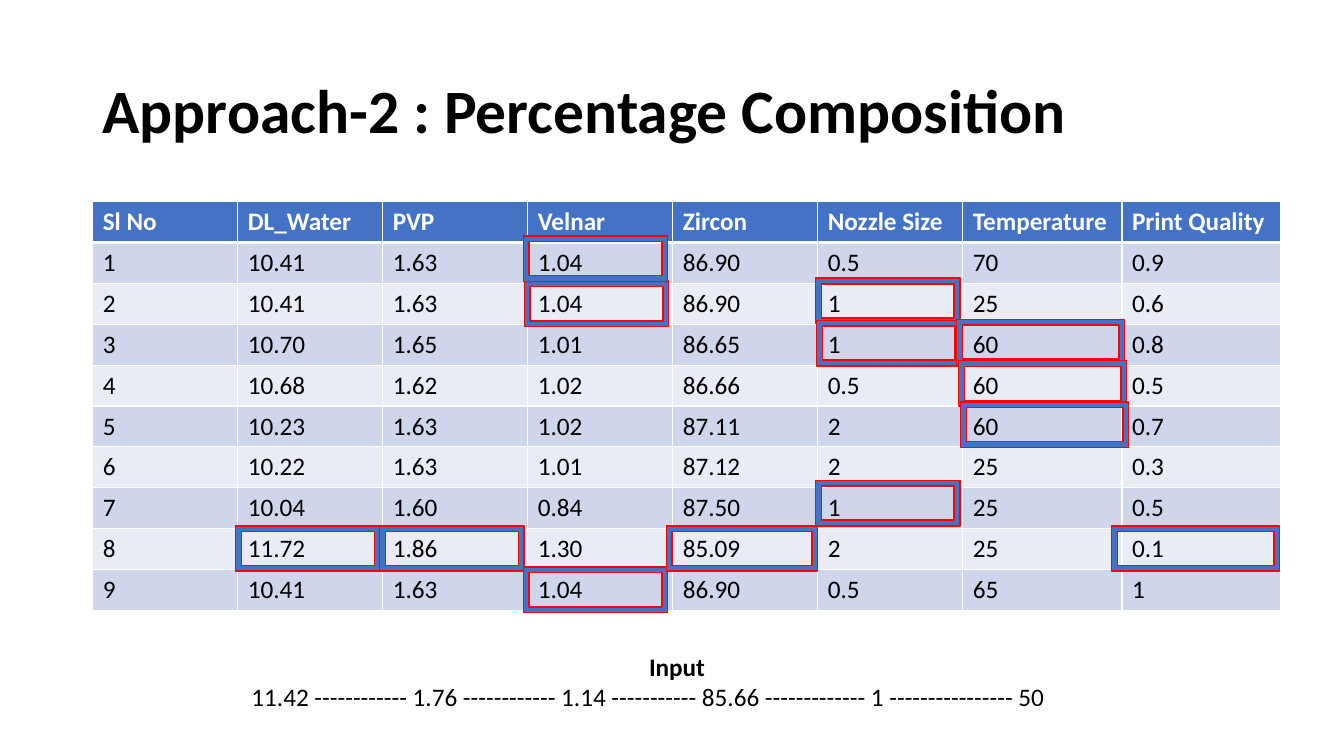
"""Build the percentage composition slide with its highlighted table."""
from itertools import accumulate

from lxml import etree
from pptx import Presentation
from pptx.dml.color import RGBColor
from pptx.enum import shapes, text
from pptx.oxml import ns
from pptx.util import Pt

TITLE = "Approach-2 : Percentage Composition"
HEADERS = ["Sl No", "DL_Water", "PVP", "Velnar", "Zircon", "Nozzle Size", "Temperature", "Print Quality"]
SAMPLES = [
    ("1", "10.41", "1.63", "1.04", "86.90", "0.5", "70", "0.9"),
    ("2", "10.41", "1.63", "1.04", "86.90", "1", "25", "0.6"),
    ("3", "10.70", "1.65", "1.01", "86.65", "1", "60", "0.8"),
    ("4", "10.68", "1.62", "1.02", "86.66", "0.5", "60", "0.5"),
    ("5", "10.23", "1.63", "1.02", "87.11", "2", "60", "0.7"),
    ("6", "10.22", "1.63", "1.01", "87.12", "2", "25", "0.3"),
    ("7", "10.04", "1.60", "0.84", "87.50", "1", "25", "0.5"),
    ("8", "11.72", "1.86", "1.30", "85.09", "2", "25", "0.1"),
    ("9", "10.41", "1.63", "1.04", "86.90", "0.5", "65", "1"),
]
INPUT_LABEL = "Input"
INPUT_VALUES = "11.42 ------------ 1.76 ------------ 1.14 ----------- 85.66 ------------- 1 ---------------- 50"

# sample, column, nudge right, nudge down
HIGHLIGHTS = [
    (8, "DL_Water", -1.4, -2), (8, "PVP", -2.2, -2),
    (9, "Velnar", -3.2, -1.7), (2, "Velnar", -2.5, -1.6), (1, "Velnar", -3.2, -4.7),
    (8, "Zircon", -4.6, -2),
    (7, "Nozzle Size", -1.6, -5.2), (2, "Nozzle Size", -1.6, -3.7), (3, "Nozzle Size", -0.9, -2.7),
    (3, "Temperature", -4.4, -3.5), (4, "Temperature", -3, -3.2), (5, "Temperature", -1.6, -2.9),
    (8, "Print Quality", -7.4, -2),
]

THEME = {
    "font": "Calibri", "title": 44, "body": 18,
    "ink": "000000", "paper": "FFFFFF", "accent": "4472C4", "alert": "FF0000",
    "bands": ("E9EBF5", "CFD5EA"),
}
SLIDE_SIZE = (960, 540)
TABLE_LEFT, TABLE_TOP, ROW_HEIGHT = 66.24, 144, 29.2
COLUMN_WIDTHS = [103.6] * 6 + [113.7, 113.2]
FRAME_HEIGHT, FRAME_WIDTH = 32.4, 103
WIDE_FRAMES = {"Zircon": 108, "Temperature": 120, "Print Quality": 120}


def color(name):
    return RGBColor.from_string(THEME.get(name, name))


def write(paragraph, words, size="body", ink="ink", bold=False, indent=0, spacing=None):
    run = paragraph.add_run()
    run.text = words
    run.font.name, run.font.size, run.font.bold = THEME["font"], Pt(THEME[size]), bold
    run.font.color.rgb = color(ink)
    if indent:
        paragraph._p.get_or_add_pPr().set("marL", str(Pt(indent)))
    if spacing:
        paragraph.line_spacing = spacing


def add_text_box(slide, left, top, width, height):
    frame = slide.shapes.add_textbox(Pt(left), Pt(top), Pt(width), Pt(height)).text_frame
    frame.word_wrap = True
    return frame


def add_borders(cell, **widths):
    properties = cell._tc.get_or_add_tcPr()
    for side, width in widths.items():
        line = etree.SubElement(properties, ns.qn(f"a:ln{side}"), w=str(Pt(width)))
        fill = etree.SubElement(line, ns.qn("a:solidFill"))
        etree.SubElement(fill, ns.qn("a:srgbClr"), val=THEME["paper"])


def add_samples_table(slide):
    rows = [HEADERS, *SAMPLES]
    table = slide.shapes.add_table(
        len(rows), len(HEADERS), Pt(TABLE_LEFT), Pt(TABLE_TOP),
        Pt(sum(COLUMN_WIDTHS)), Pt(ROW_HEIGHT * len(rows))).table
    for column, width in zip(table.columns, COLUMN_WIDTHS):
        column.width = Pt(width)
    for row_index, values in enumerate(rows):
        table.rows[row_index].height = Pt(ROW_HEIGHT)
        header = row_index == 0
        for column_index, value in enumerate(values):
            cell = table.cell(row_index, column_index)
            add_borders(cell, L=1, R=1, T=3 if row_index == 1 else 1, B=3 if header else 1)
            cell.fill.solid()
            cell.fill.fore_color.rgb = color("accent" if header else THEME["bands"][row_index % 2])
            write(cell.text_frame.paragraphs[0], value, ink="paper" if header else "ink", bold=header)


def add_highlights(slide):
    column_lefts = dict(zip(HEADERS, accumulate(COLUMN_WIDTHS, initial=TABLE_LEFT)))
    for sample, column, right, down in HIGHLIGHTS:
        shape = slide.shapes.add_shape(
            shapes.MSO_SHAPE.FRAME, Pt(column_lefts[column] + right),
            Pt(TABLE_TOP + sample * ROW_HEIGHT + down),
            Pt(WIDE_FRAMES.get(column, FRAME_WIDTH)), Pt(FRAME_HEIGHT))
        shape.shadow.inherit = False
        shape.fill.solid()
        shape.fill.fore_color.rgb = color("accent")
        shape.line.color.rgb = color("alert")
        shape.line.width = Pt(1)


presentation = Presentation()
presentation.slide_width, presentation.slide_height = map(Pt, SLIDE_SIZE)
slide = presentation.slides.add_slide(presentation.slide_layouts[6])

title = add_text_box(slide, TABLE_LEFT, 28.8, 828, 104.4)
title.vertical_anchor = text.MSO_ANCHOR.MIDDLE
write(title.paragraphs[0], TITLE, size="title", bold=True, spacing=0.9)

add_samples_table(slide)

inputs = add_text_box(slide, 168.5, 461.5, 630, 51)
write(inputs.paragraphs[0], INPUT_LABEL, bold=True, indent=288)
write(inputs.add_paragraph(), INPUT_VALUES, indent=4)

add_highlights(slide)
presentation.save("out.pptx")
